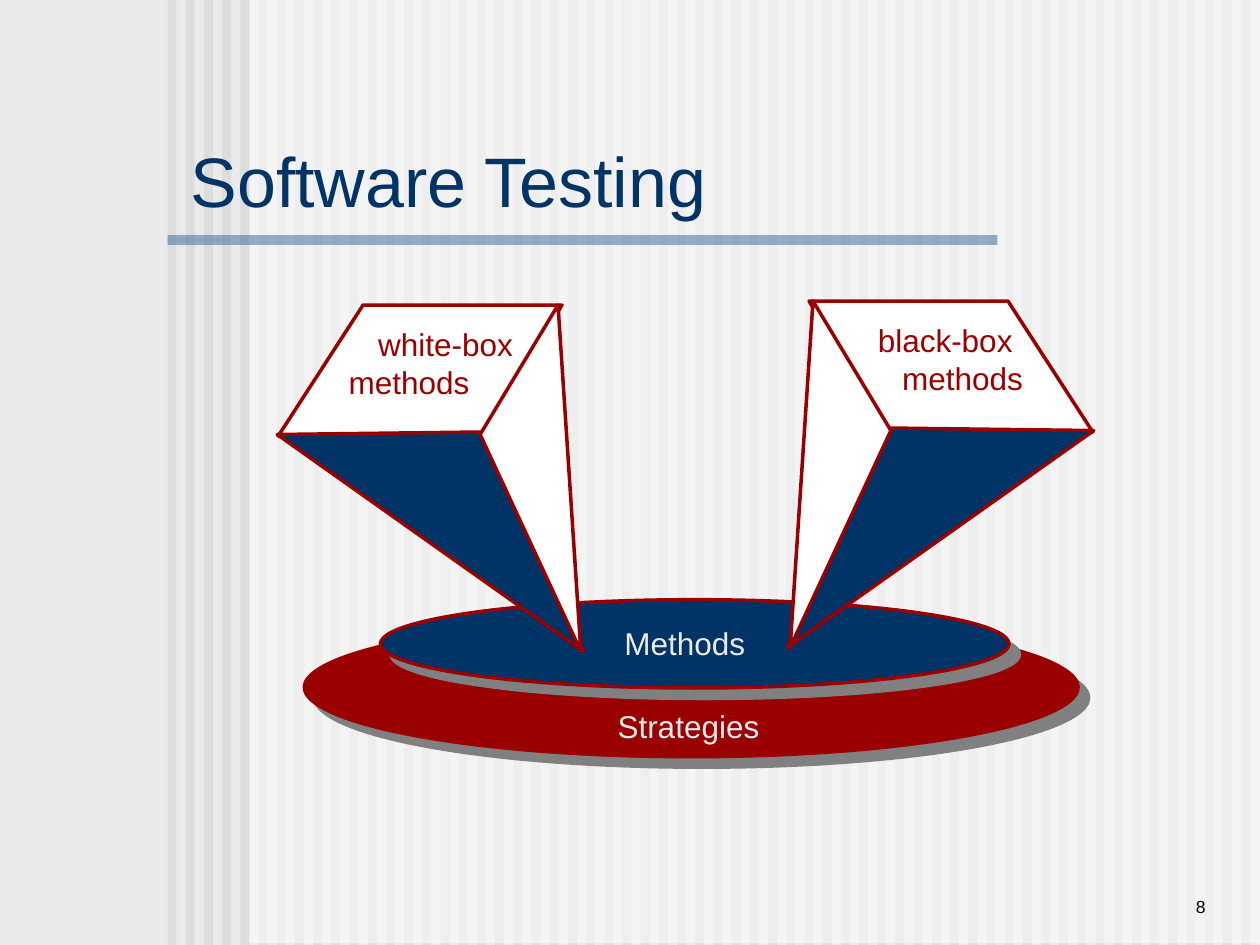
from dataclasses import dataclass
from typing import Any

from lxml.etree import SubElement
from pptx import Presentation
from pptx.dml.color import RGBColor
from pptx.enum.shapes import MSO_SHAPE
from pptx.enum.text import MSO_ANCHOR, PP_ALIGN
from pptx.oxml.ns import qn
from pptx.util import Cm, Pt

GREY = RGBColor(0xEA, 0xEA, 0xEA)
STRIPE_GREY = RGBColor(0xDD, 0xDD, 0xDD)
SHADOW_GREY = RGBColor(0x80, 0x80, 0x80)
WHITE = RGBColor(0xFF, 0xFF, 0xFF)
BLACK = RGBColor(0, 0, 0)
NAVY = RGBColor(0x00, 0x33, 0x66)
STEEL = RGBColor(0x33, 0x66, 0x99)
RED = RGBColor(0x9A, 0x00, 0x00)

SLIDE_WIDTH, SLIDE_HEIGHT = 25.4, 19.05
STRIPE_COUNT, FIRST_STRIPE, LAST_STRIPE = 60, 3.38, 25.02
MIRROR_SUM, MIRROR_RISE = 27.64, 0.08

Point = tuple[float, float]


@dataclass(frozen=True)
class Box:
    left: float
    top: float
    width: float
    height: float


@dataclass(frozen=True)
class Disc:
    box: Box
    fill: RGBColor
    outline: RGBColor | None = None


@dataclass(frozen=True)
class Face:
    points: tuple[Point, ...]
    fill: RGBColor


@dataclass(frozen=True)
class Line:
    text: str
    alignment: PP_ALIGN = PP_ALIGN.LEFT
    indent: float = 0


@dataclass(frozen=True)
class Label:
    box: Box
    lines: tuple[Line, ...]
    color: RGBColor
    size: int = 18
    anchor: MSO_ANCHOR = MSO_ANCHOR.TOP


DISCS = (
    Disc(Box(6.1, 12.42, 15.67, 2.87), RED),
    Disc(Box(7.67, 12.09, 12.67, 1.78), NAVY, RED),
)
PYRAMID = (
    Face(((11.33, 6.15), (7.32, 6.15), (5.61, 8.79), (9.75, 8.79)), WHITE),
    Face(((5.59, 8.76), (11.76, 13.13), (9.68, 8.71)), NAVY),
    Face(((11.71, 13.13), (9.68, 8.76), (11.25, 6.15)), WHITE),
)
TITLE = Label(Box(3.59, 2.74, 14.66, 1.75), (Line("Software Testing"),),
              NAVY, 40, MSO_ANCHOR.MIDDLE)
LABELS = (
    Label(Box(12.34, 12.45, 3.3, 1.02), (Line("Methods"),), GREY),
    Label(Box(12.2, 14.12, 3.8, 1.02), (Line("Strategies"),), GREY),
    Label(Box(6.78, 6.43, 3.81, 2.54),
          (Line("white-box", PP_ALIGN.RIGHT), Line("methods")), RED),
    Label(Box(17.15, 6.35, 3.81, 1.78),
          (Line("black-box", PP_ALIGN.CENTER),
           Line("methods", PP_ALIGN.CENTER, 0.7)), RED),
    Label(Box(20.94, 17.35, 3.61, 1.27), (Line("8", PP_ALIGN.RIGHT),),
          BLACK, 10, MSO_ANCHOR.BOTTOM),
)


def apply(target: Any, values: dict[str, Any]) -> None:
    for name, value in values.items():
        setattr(target, name, value)


def lengths(box: Box) -> tuple[Cm, ...]:
    return Cm(box.left), Cm(box.top), Cm(box.width), Cm(box.height)


def paint(shape: Any, fill: RGBColor, outline: RGBColor | None = None) -> None:
    shape.shadow.inherit = False
    shape.fill.solid()
    shape.fill.fore_color.rgb = fill
    if outline is None:
        shape.line.fill.background()
    else:
        shape.line.color.rgb = outline
        shape.line.width = Pt(2)


def add_band(shapes: Any, box: Box, fill: RGBColor, opacity: int = 100) -> None:
    band = shapes.add_shape(MSO_SHAPE.RECTANGLE, *lengths(box))
    paint(band, fill)
    if opacity < 100:
        tint = band.element.spPr.find(".//" + qn("a:srgbClr"))
        SubElement(tint, qn("a:alpha"), val=str(opacity * 1000))


def add_disc(shapes: Any, disc: Disc) -> None:
    ellipse = shapes.add_shape(MSO_SHAPE.OVAL, *lengths(disc.box))
    paint(ellipse, disc.fill, disc.outline)
    effects = ellipse.element.spPr.find(qn("a:effectLst"))
    shadow = SubElement(effects, qn("a:outerShdw"), blurRad="0", dist=str(Pt(8.5)),
                        dir=str(45 * 60000), algn="ctr", rotWithShape="0")
    SubElement(shadow, qn("a:srgbClr"), val=str(SHADOW_GREY))


def mirrored(face: Face) -> Face:
    points = tuple((MIRROR_SUM - x, y - MIRROR_RISE) for x, y in face.points)
    return Face(points, face.fill)


def add_face(shapes: Any, face: Face) -> None:
    start, *corners = [(Cm(x), Cm(y)) for x, y in face.points]
    builder = shapes.build_freeform(*start)
    builder.add_line_segments(corners, close=True)
    paint(builder.convert_to_shape(), face.fill, RED)


def write_label(holder: Any, label: Label) -> None:
    frame = holder.text_frame
    apply(frame, {
        "word_wrap": True,
        "vertical_anchor": label.anchor,
        "margin_left": Cm(0.25),
        "margin_right": Cm(0.25),
        "margin_top": Cm(0.13),
        "margin_bottom": Cm(0.13),
    })
    for index, line in enumerate(label.lines):
        paragraph = frame.add_paragraph() if index else frame.paragraphs[0]
        paragraph.alignment = line.alignment
        if line.indent:
            paragraph._p.get_or_add_pPr().set("marL", str(Cm(line.indent)))
        run = paragraph.add_run()
        run.text = line.text
        apply(run.font, {"name": "Arial", "size": Pt(label.size), "bold": False})
        run.font.color.rgb = label.color


def add_backdrop(slide: Any) -> None:
    slide.background.fill.solid()
    slide.background.fill.fore_color.rgb = GREY
    pitch = (LAST_STRIPE - FIRST_STRIPE) / (STRIPE_COUNT - 1)
    for index in range(STRIPE_COUNT):
        stripe = Box(FIRST_STRIPE + index * pitch, 0, 0.18, SLIDE_HEIGHT)
        add_band(slide.shapes, stripe, STRIPE_GREY)
    add_band(slide.shapes, Box(5.03, -0.03, 20.37, SLIDE_HEIGHT), WHITE, 50)
    add_band(slide.shapes, Box(3.38, 4.74, 16.73, 0.2), STEEL, 50)


def place_title(slide: Any) -> None:
    title = slide.shapes.title
    apply(title, dict(zip(("left", "top", "width", "height"), lengths(TITLE.box))))
    write_label(title, TITLE)
    title.element.getparent().append(title.element)


def main() -> None:
    deck = Presentation()
    apply(deck, {"slide_width": Cm(SLIDE_WIDTH), "slide_height": Cm(SLIDE_HEIGHT)})
    slide = deck.slides.add_slide(deck.slide_layouts[5])
    add_backdrop(slide)
    place_title(slide)
    for disc in DISCS:
        add_disc(slide.shapes, disc)
    for face in PYRAMID + tuple(map(mirrored, PYRAMID)):
        add_face(slide.shapes, face)
    for label in LABELS:
        write_label(slide.shapes.add_textbox(*lengths(label.box)), label)
    deck.save("out.pptx")


if __name__ == "__main__":
    main()
